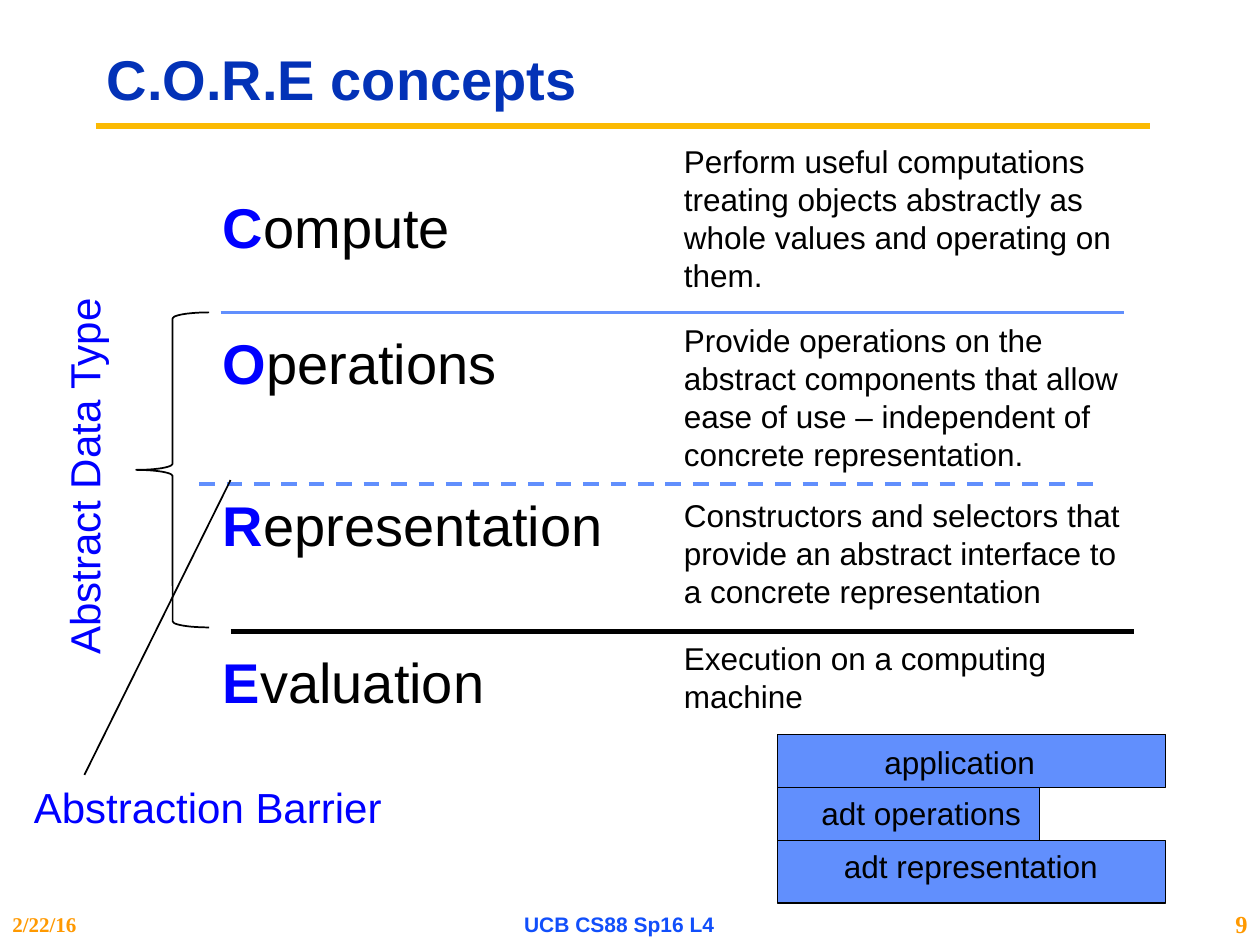
from lxml import etree
from pptx import Presentation
from pptx.dml.color import RGBColor
from pptx.enum.dml import MSO_LINE
from pptx.enum.shapes import MSO_CONNECTOR, MSO_SHAPE
from pptx.enum.text import MSO_ANCHOR, PP_ALIGN
from pptx.oxml.ns import qn
from pptx.util import Inches, Pt

LEFT, CENTER, RIGHT = PP_ALIGN.LEFT, PP_ALIGN.CENTER, PP_ALIGN.RIGHT
TOP, MIDDLE = MSO_ANCHOR.TOP, MSO_ANCHOR.MIDDLE
RECT, BRACE = MSO_SHAPE.RECTANGLE, MSO_SHAPE.LEFT_BRACE
DASH = MSO_LINE.DASH
SANS, SERIF = "Arial", "Times New Roman"
BLACK, BLUE, SKY = "000000", "0000FF", "618FFD"
NAVY, ROYAL, GOLD, ORANGE = "0332B7", "114FFB", "FBBA03", "FF9900"

TITLE = "C.O.R.E concepts"

# word, its top and width, then its meaning with top, width and height
CORE = [
    ("Compute", 1.48, 2.02,
     "Perform useful computations treating objects abstractly as whole "
     "values and operating on them.", 1.08, 4, 1.31),
    ("Operations", 2.56, 2.4,
     "Provide operations on the abstract components that allow ease of use "
     "– independent of concrete representation.", 2.5, 3.83, 1.31),
    ("Representation", 3.84, 3.25,
     "Constructors and selectors that provide an abstract interface to a "
     "concrete representation", 3.89, 3.83, 1.01),
    ("Evaluation", 5.09, 2.3,
     "Execution on a computing machine", 5.02, 3.83, 0.71),
]

# left, top, colour, weight, dash of the lines between the concepts
RULES = [
    (1.75, 2.48, SKY, 2.25, None),
    (1.58, 3.84, SKY, 2.25, DASH),
    (1.83, 5.01, BLACK, 3, None),
]
RULE_W = 7.17

# text, left, width, align, font format
FOOTER = [
    ("2/22/16", 0, 1.67, LEFT, dict(name=SERIF, size=12, color=ORANGE)),
    ("UCB CS88 Sp16 L4", 3.33, 3.17, CENTER, dict(size=12, color=ROYAL)),
    ("9", 9.42, 0.58, RIGHT, dict(name=SERIF, size=14, color=ORANGE)),
]

# layer label, bar width and height, label left, width and drop
LAYERS = [
    ("application", 3.08, 0.42, 6.92, 1.41, 0.02),
    ("adt operations", 2.08, 0.42, 6.42, 1.8, 0),
    ("adt representation", 3.08, 0.5, 6.6, 2.24, 0),
]
STACK_X, STACK_Y = 6.17, 5.83

prs = Presentation()
prs.slide_width, prs.slide_height = Inches(10), Inches(7.5)
slide = prs.slides.add_slide(prs.slide_layouts[6])
shapes = slide.shapes


def rgb(text):
    return RGBColor.from_string(text)


def style(font, size=18, color=BLACK, **extra):
    font.color.rgb = rgb(color)
    look = {"name": SANS, "size": Pt(size), "bold": False, **extra}
    for key, value in look.items():
        setattr(font, key, value)


def text(box, runs, wrap=False, anchor=TOP, align=LEFT):
    """Add a text box of one paragraph; runs are (words, font format)."""
    shape = shapes.add_textbox(*map(Inches, box))
    frame = shape.text_frame
    frame.word_wrap, frame.vertical_anchor = wrap, anchor
    para = frame.paragraphs[0]
    para.alignment = align
    for words, look in runs:
        run = para.add_run()
        run.text = words
        style(run.font, **look)
    return shape


def line(start, end, color, width, dash=None):
    link = shapes.add_connector(MSO_CONNECTOR.STRAIGHT,
                                *map(Inches, (*start, *end)))
    link.line.color.rgb, link.line.width = rgb(color), Pt(width)
    if dash:
        link.line.dash_style = dash
    etree.SubElement(link._element.spPr, qn("a:effectLst"))


def shape(kind, box, fill=None):
    item = shapes.add_shape(kind, *map(Inches, box))
    item.shadow.inherit = False
    item.line.color.rgb, item.line.width = rgb(BLACK), Pt(1)
    if fill:
        item.fill.solid()
        item.fill.fore_color.rgb = rgb(fill)
    else:
        item.fill.background()


# Title and footer
line((0.76, 1), (9.13, 1), GOLD, 3.75)
title = text((0.75, 0.25, 8.42, 0.81),
             [(TITLE, dict(size=32, color=NAVY, bold=True))], True, MIDDLE)
title.text_frame.paragraphs[0].line_spacing = 0.9
for words, x, w, align, look in FOOTER:
    text((x, 7.17, w, 0.33), [(words, dict(look, bold=True))],
         True, MIDDLE, align)

# Concepts
for word, y, w, note, note_y, note_w, note_h in CORE:
    text((1.67, y, w, 0.64),
         [(word[0], dict(size=32, color=BLUE, bold=True)),
          (word[1:], dict(size=32))])
    text((5.33, note_y, note_w, note_h), [(note, {})], True)
for x, y, color, width, dash in RULES:
    line((x, y), (x + RULE_W, y), color, width, dash)

# Side notes
label = dict(size=24, color=BLUE)
shape(BRACE, (1.08, 2.48, 0.58, 2.5))
side = text((-0.87, 3.51, 3.07, 0.5), [("Abstract Data Type", label)])
side.rotation = 270
text((0.17, 6.15, 3.01, 0.5), [("Abstraction Barrier", label)])
line((1.83, 3.81), (0.67, 6.15), BLACK, 1)

# Stack of layers
y = STACK_Y
for words, bar_w, bar_h, x, w, drop in LAYERS:
    shape(RECT, (STACK_X, y, bar_w, bar_h), SKY)
    text((x, y + drop, w, 0.4), [(words, {})])
    y += bar_h

prs.save("out.pptx")
